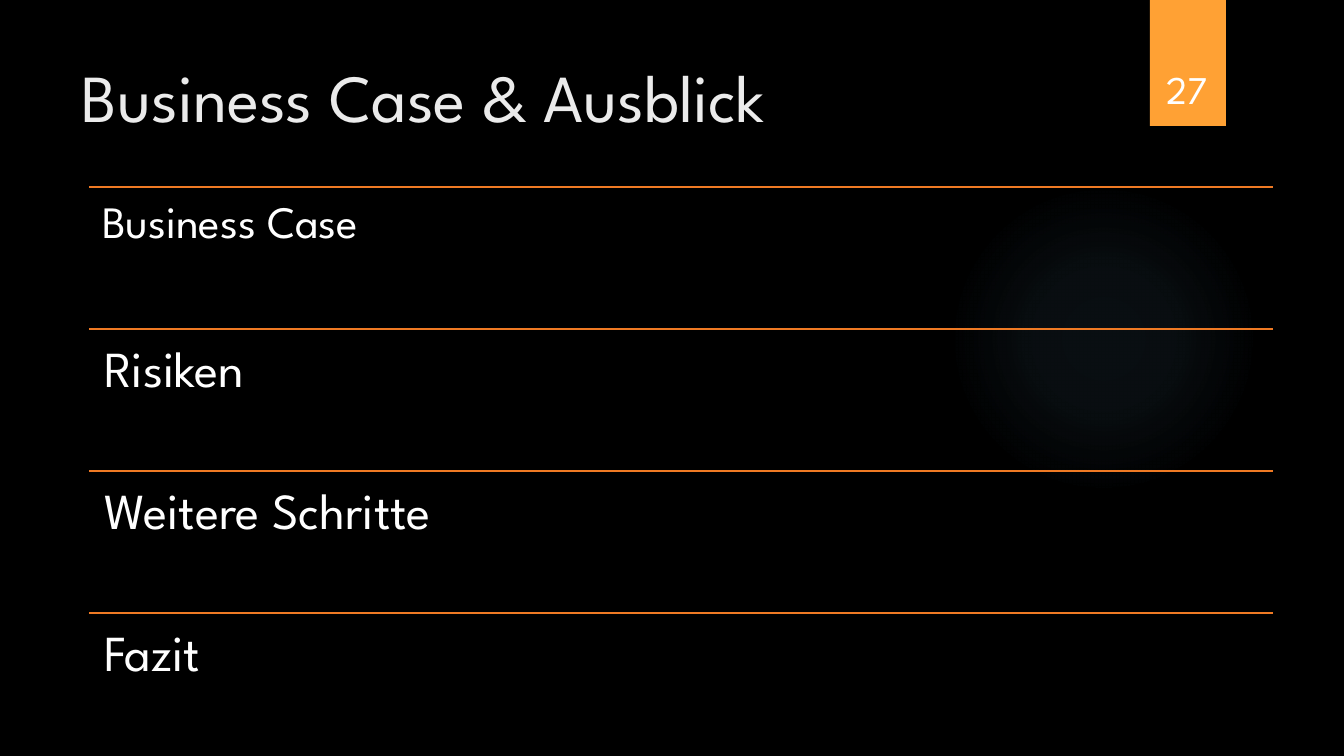
"""Builds the agenda slide "Business Case & Ausblick"."""
from lxml import etree
from pptx import Presentation
from pptx import util as u
from pptx.dml.color import RGBColor
from pptx.enum import shapes, text
from pptx.oxml import parse_xml
from pptx.oxml.ns import nsdecls, qn

THEME = {
    "font": "League Spartan",
    "background": "000000", "glow": "7AC4F0", "ribbon": "FFA134",
    "rule": "EF7A24", "title": "EBEBEB", "body": "FFFFFF",
    "title_size": 48, "first_size": 32, "row_size": 36, "number_size": 28,
    "rule_width": 1.5,
}
EMU_PER_PX = 914400 / 100.8


def px(*lengths):
    return [u.Emu(round(length * EMU_PER_PX)) for length in lengths]


def add_text(content, box, size, color="body", insets=(10, 5), spacing=None, after=0,
             align=text.PP_ALIGN.LEFT, anchor=text.MSO_ANCHOR.TOP):
    frame = slide.shapes.add_textbox(*px(*box)).text_frame
    frame.word_wrap = True
    frame.vertical_anchor = anchor
    frame.margin_left, frame.margin_top = px(*insets)
    frame.margin_right, frame.margin_bottom = px(*insets)
    paragraph = frame.paragraphs[0]
    paragraph.text = content
    paragraph.alignment = align
    paragraph.line_spacing = spacing
    paragraph.space_after = u.Pt(after)
    paragraph.font.name = THEME["font"]
    paragraph.font.size = u.Pt(THEME[size])
    paragraph.font.color.rgb = RGBColor.from_string(THEME[color])


presentation = Presentation()
presentation.slide_width, presentation.slide_height = px(1344, 756)
slide = presentation.slides.add_slide(presentation.slide_layouts[6])
slide.background.fill.solid()
slide.background.fill.fore_color.rgb = RGBColor.from_string(THEME["background"])

glow = slide.shapes.add_shape(shapes.MSO_SHAPE.OVAL, *px(949, 184, 310, 310))
glow.shadow.inherit = False
glow.line.fill.background()
stops = "".join(
    f'<a:gs pos="{position * 1000}"><a:srgbClr val="{THEME["glow"]}">'
    f'<a:alpha val="{opacity * 1000}"/></a:srgbClr></a:gs>'
    for position, opacity in [(0, 7), (36, 6), (69, 0)])
gradient = parse_xml(
    f'<a:gradFill {nsdecls("a")}><a:gsLst>{stops}</a:gsLst><a:path path="circle">'
    '<a:fillToRect l="50000" t="50000" r="50000" b="50000"/></a:path></a:gradFill>')
glow.element.spPr.find(qn("a:prstGeom")).addnext(gradient)

ribbon = slide.shapes.add_shape(shapes.MSO_SHAPE.RECTANGLE, *px(1150, 0, 76, 126))
ribbon.shadow.inherit = False
ribbon.fill.solid()
ribbon.fill.fore_color.rgb = RGBColor.from_string(THEME["ribbon"])
ribbon.line.fill.background()

add_text("Business Case & Ausblick", (72, 50, 1098, 154), "title_size", "title")

rows = [
    ("Business Case", "first_size", 13),
    ("Risiken", "row_size", 15),
    ("Weitere Schritte", "row_size", 15),
    ("Fazit", "row_size", 15),
]
row_left, row_top, row_width, row_height = 89, 187, 1184, 142
for index, (label, size, inset) in enumerate(rows):
    top = row_top + index * row_height
    rule = slide.shapes.add_connector(
        shapes.MSO_CONNECTOR.STRAIGHT, *px(row_left, top, row_left + row_width, top))
    rule.line.color.rgb = RGBColor.from_string(THEME["rule"])
    rule.line.width = u.Pt(THEME["rule_width"])
    etree.SubElement(rule.element.spPr, qn("a:effectLst"))
    add_text(label, (row_left, top, row_width, row_height), size,
             insets=(inset, inset), spacing=0.9, after=THEME[size] * 0.35)

add_text("27", (1141, 32, 93, 85), "number_size",
         align=text.PP_ALIGN.CENTER, anchor=text.MSO_ANCHOR.BOTTOM)

presentation.save("out.pptx")
